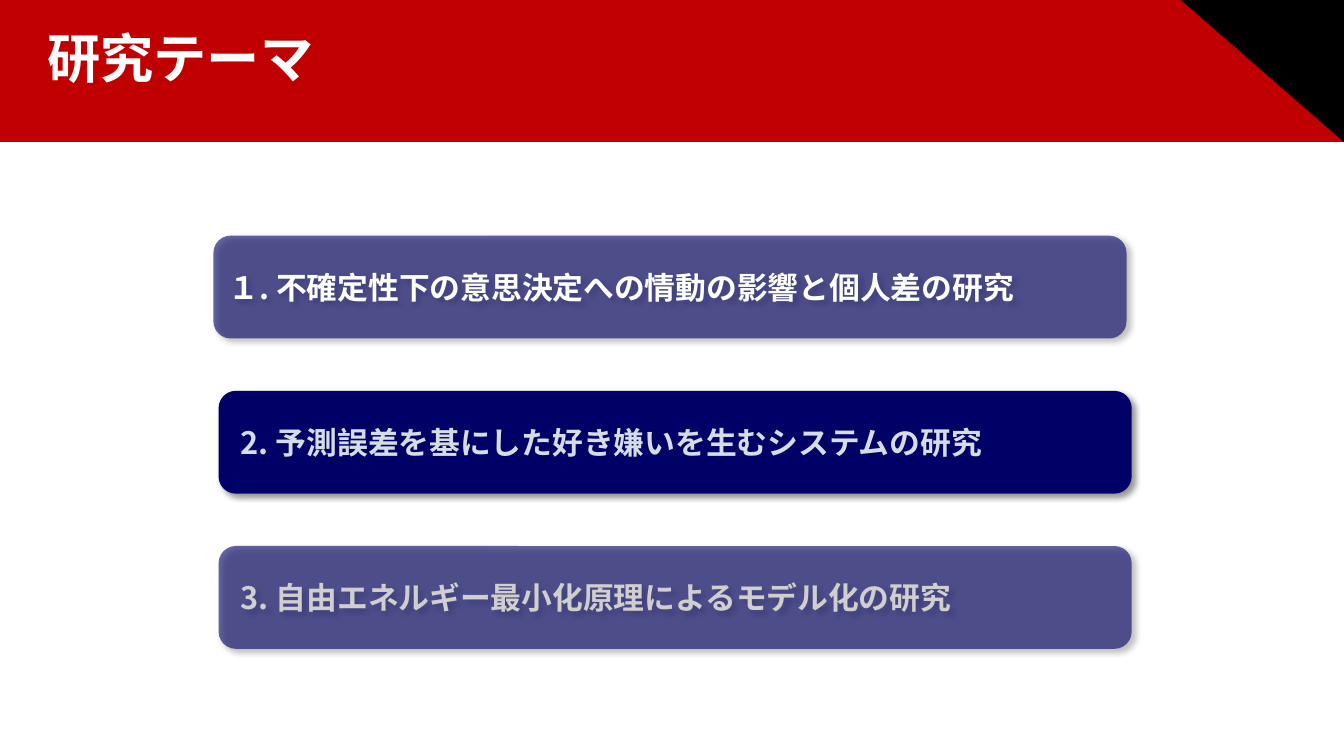
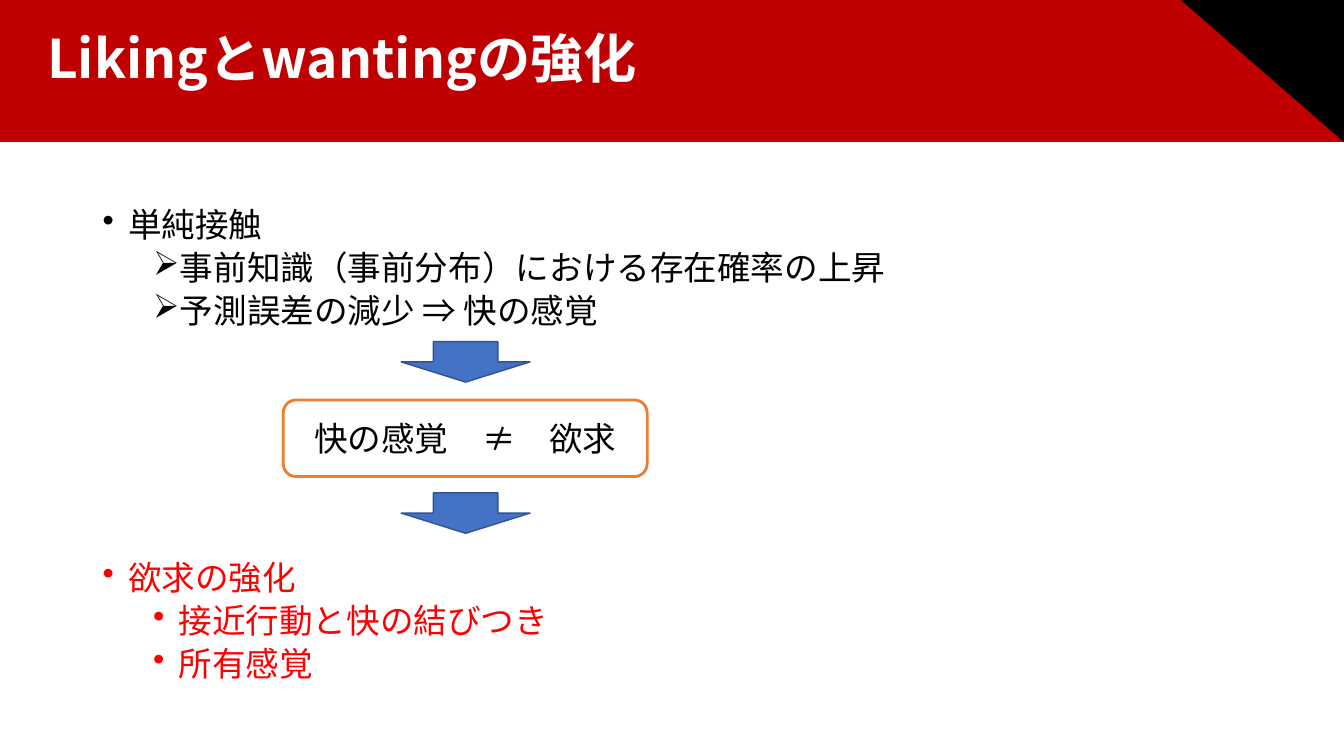
from dataclasses import dataclass

from lxml.etree import SubElement
from pptx import Presentation
from pptx.dml.color import RGBColor
from pptx.enum.shapes import MSO_SHAPE
from pptx.enum.text import MSO_ANCHOR, PP_ALIGN
from pptx.oxml.ns import qn
from pptx.shapes.autoshape import Shape
from pptx.slide import Slide
from pptx.text.text import TextFrame, _Paragraph
from pptx.util import Cm, Pt

FONT = "Noto Sans CJK JP"
WIDE, HIGH = 33.87, 19.05
COLORS = {
    "red": "C00000", "black": "000000", "white": "FFFFFF", "navy": "000066",
    "pale": "D6DCE5", "grey": "D0CECE", "blue": "4472C4", "edge": "325491",
    "orange": "ED7D31", "alert": "FF0000",
}
STYLES = {
    "title": {"size": Pt(38), "bold": True},
    "card": {"size": Pt(22), "bold": True},
    "body": {"size": Pt(24), "bold": False},
}


@dataclass
class Box:
    left: float
    top: float
    width: float
    height: float

    def lengths(self) -> list[Cm]:
        return [Cm(v) for v in (self.left, self.top, self.width, self.height)]


@dataclass
class Card:
    text: str
    color: str
    left: float = 5.51
    pad: float = 0.43
    alpha: int = 100


@dataclass
class Item:
    text: str
    level: int = 0
    mark: str = "•"
    color: str = "black"
    before: int = 0


CARDS = [
    Card("１. 不確定性下の意思決定への情動の影響と個人差の研究", "white", 5.38, 0.25, 60),
    Card("2. 予測誤差を基にした好き嫌いを生むシステムの研究", "pale"),
    Card("3. 自由エネルギー最小化原理によるモデル化の研究", "grey", alpha=60),
]
ITEMS = [
    Item("単純接触"),
    Item("事前知識（事前分布）における存在確率の上昇", 1, "➢"),
    Item("予測誤差の減少 ⇒ 快の感覚", 1, "➢"),
    Item("欲求の強化", color="alert", before=160),
    Item("接近行動と快の結びつき", 1, color="alert"),
    Item("所有感覚", 1, color="alert"),
]


def rgb(name: str) -> RGBColor:
    return RGBColor.from_string(COLORS[name])


def write(para: _Paragraph, text: str, style: str, color: str) -> None:
    run = para.add_run()
    run.text = text
    for key, value in {"name": FONT, **STYLES[style]}.items():
        setattr(run.font, key, value)
    run.font.color.rgb = rgb(color)
    SubElement(run.font._element, qn("a:ea"), typeface=FONT)


def draw(slide: Slide, kind: MSO_SHAPE, box: Box, fill: str = "",
         line: str = "", weight: float = 1) -> Shape:
    shape = slide.shapes.add_shape(kind, *box.lengths())
    shape.shadow.inherit = False
    if fill:
        shape.fill.solid()
        shape.fill.fore_color.rgb = rgb(fill)
    else:
        shape.fill.background()
    if line:
        shape.line.color.rgb = rgb(line)
        shape.line.width = Pt(weight)
    else:
        shape.line.fill.background()
    return shape


def add_text(slide: Slide, box: Box) -> TextFrame:
    frame = slide.shapes.add_textbox(*box.lengths()).text_frame
    frame.word_wrap = True
    return frame


def add_page(deck: Presentation, title: str) -> Slide:
    """Blank slide with the shared title band."""
    slide = deck.slides.add_slide(deck.slide_layouts[6])
    draw(slide, MSO_SHAPE.RECTANGLE, Box(0, 0, WIDE, 3.58), "red")
    corner = draw(slide, MSO_SHAPE.RIGHT_TRIANGLE,
                  Box(WIDE - 4.11, 0, 4.11, 3.58), "black")
    corner.rotation = 180
    para = add_text(slide, Box(0.94, 0.69, 30.38, 1.83)).paragraphs[0]
    para.line_spacing = 0.9
    write(para, title, "title", "white")
    return slide


def add_card(slide: Slide, card: Card, top: float) -> None:
    shape = draw(slide, MSO_SHAPE.ROUNDED_RECTANGLE,
                 Box(card.left, top, 23.01, 2.59), "navy")
    props = shape._element.spPr
    # Fill opacity
    if card.alpha < 100:
        solid = props.find(qn("a:solidFill"))
        SubElement(solid[0], qn("a:alpha"), val=str(card.alpha * 1000))
    # Soft shadow to the lower right
    shade = SubElement(props.find(qn("a:effectLst")), qn("a:outerShdw"),
                       blurRad=str(Pt(4)), dist=str(Pt(3)), dir="2700000",
                       algn="tl", rotWithShape="0")
    tone = SubElement(shade, qn("a:srgbClr"), val=COLORS["black"])
    SubElement(tone, qn("a:alpha"), val="40000")
    frame = shape.text_frame
    frame.word_wrap = True
    frame.vertical_anchor = MSO_ANCHOR.MIDDLE
    frame.margin_left = Cm(card.pad)
    para = frame.paragraphs[0]
    para.alignment = PP_ALIGN.LEFT
    write(para, card.text, "card", card.color)


def add_items(frame: TextFrame, items: list[Item]) -> None:
    for index, item in enumerate(items):
        para = frame.add_paragraph() if index else frame.paragraphs[0]
        para.level = item.level
        props = para._p.get_or_add_pPr()
        props.set("marL", str(Cm(0.64 + 1.27 * item.level)))
        props.set("indent", str(Cm(-0.64)))
        SubElement(props, qn("a:buChar"), char=item.mark)
        para.line_spacing = Pt(30.7)
        para.space_before = Pt(item.before)
        write(para, item.text, "body", item.color)


def main() -> None:
    deck = Presentation()
    deck.slide_width, deck.slide_height = Cm(WIDE), Cm(HIGH)

    # Research themes
    themes = add_page(deck, "研究テーマ")
    for index, card in enumerate(CARDS):
        add_card(themes, card, 5.94 + 3.91 * index)

    # Liking and wanting
    urge = add_page(deck, "Likingとwantingの強化")
    add_items(add_text(urge, Box(2.34, 4.95, 29.2, 13)), ITEMS)
    claim = draw(urge, MSO_SHAPE.ROUNDED_RECTANGLE,
                 Box(7.14, 10.08, 9.17, 1.93), line="orange", weight=2)
    claim.text_frame.vertical_anchor = MSO_ANCHOR.MIDDLE
    para = claim.text_frame.paragraphs[0]
    para.alignment = PP_ALIGN.CENTER
    write(para, "快の感覚　≠　欲求", "body", "black")
    for top in (8.61, 12.42):
        draw(urge, MSO_SHAPE.DOWN_ARROW, Box(10.11, top, 3.25, 1.02),
             "blue", "edge")

    deck.save("out.pptx")


if __name__ == "__main__":
    main()
